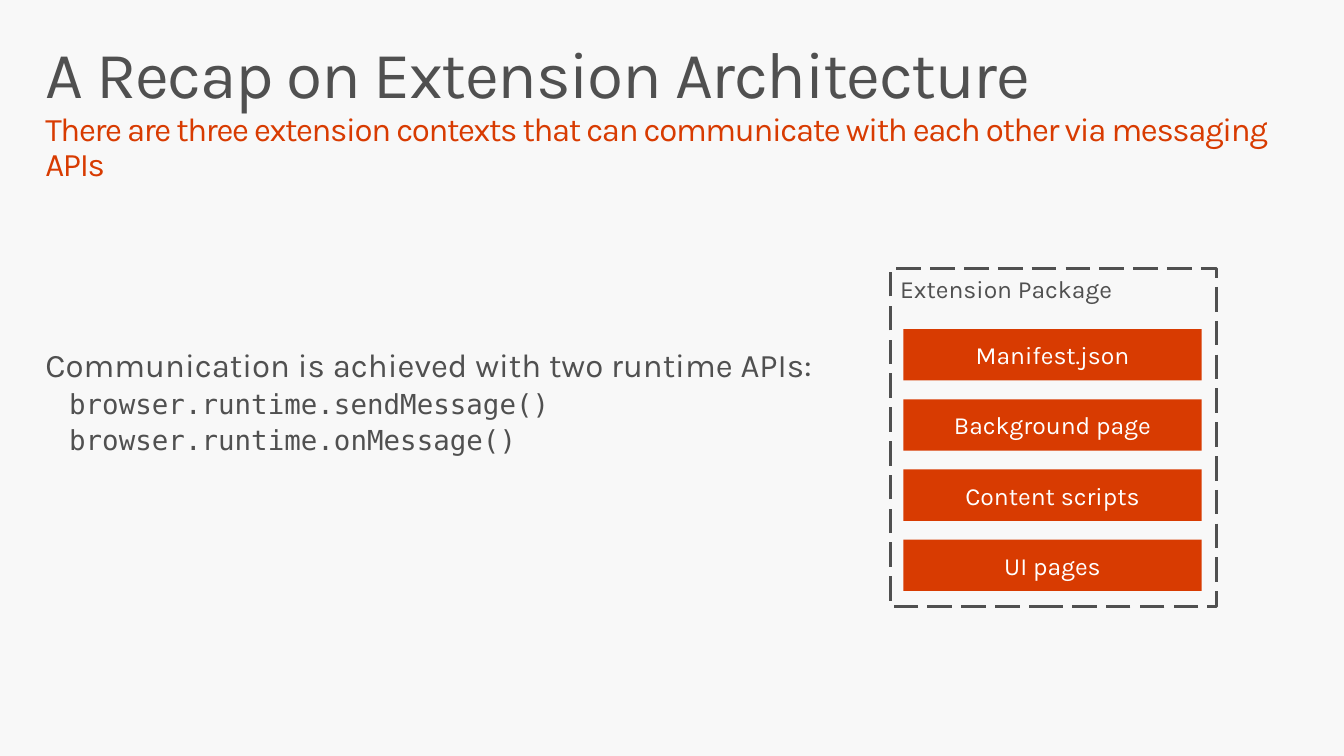
import pptx
import pptx.util
import pptx.dml.color
import pptx.enum.dml
import pptx.enum.shapes
import pptx.enum.text

Inches = pptx.util.Inches
Pt = pptx.util.Pt
ALIGN = pptx.enum.text.PP_ALIGN
ANCHOR = pptx.enum.text.MSO_ANCHOR

GREY, ORANGE, WHITE, PAPER = "505050", "D83B01", "FFFFFF", "F8F8F8"
BODY_FONT, CODE_FONT = "Karla", "DejaVu Sans Mono"


def color(hex_code):
    return pptx.dml.color.RGBColor.from_string(hex_code)


def add_run(paragraph, text, size, hex_code, font=BODY_FONT):
    run = paragraph.add_run()
    run.text = text
    run.font.size = Pt(size)
    run.font.name = font
    run.font.color.rgb = color(hex_code)
    return run


def add_text_frame(slide, left, top, width, height):
    frame = slide.shapes.add_textbox(
        Inches(left), Inches(top), Inches(width), Inches(height)).text_frame
    frame.word_wrap = True
    frame.margin_left = frame.margin_right = Inches(0.16)
    frame.margin_top = frame.margin_bottom = Inches(0.1)
    return frame


def add_box(slide, left, top, width, height, label, text_color, align, anchor):
    box = slide.shapes.add_shape(
        pptx.enum.shapes.MSO_SHAPE.RECTANGLE,
        Inches(left), Inches(top), Inches(width), Inches(height))
    box.shadow.inherit = False
    box.text_frame.word_wrap = True
    box.text_frame.vertical_anchor = anchor
    paragraph = box.text_frame.paragraphs[0]
    paragraph.alignment = align
    add_run(paragraph, label, 18, text_color)
    return box


def add_heading(slide, left, top, width, height):
    heading = add_text_frame(slide, left, top, width, height).paragraphs[0]
    heading.line_spacing = 0.9
    title = add_run(heading, "A Recap on Extension Architecture", 48, GREY)
    heading.add_line_break()
    subtitle = add_run(
        heading,
        "There are three extension contexts that can communicate "
        "with each other via messaging APIs", 24, ORANGE)
    # Tighten the letters by one point
    for run in (title, subtitle):
        run.font._element.set("spc", "-100")


def add_runtime_apis(slide, left, top, width, height):
    frame = add_text_frame(slide, left, top, width, height)
    intro = frame.paragraphs[0]
    intro.line_spacing = 0.9
    add_run(intro, "Communication is achieved with two runtime APIs:", 24, GREY)
    for call in ("browser.runtime.sendMessage()", "browser.runtime.onMessage()"):
        paragraph = frame.add_paragraph()
        paragraph.line_spacing = 0.9
        paragraph.space_before = Pt(4.5)
        properties = paragraph._p.get_or_add_pPr()
        properties.set("marL", str(Inches(0.24)))
        properties.set("indent", "0")
        add_run(paragraph, call, 20, GREY, CODE_FONT)


def add_extension_package(slide, left, top, width, height):
    # Dashed frame
    package = add_box(slide, left, top, width, height, "Extension Package",
                      GREY, ALIGN.LEFT, ANCHOR.TOP)
    package.fill.background()
    package.line.color.rgb = color(GREY)
    package.line.width = Pt(2.25)
    package.line.dash_style = pptx.enum.dml.MSO_LINE.LONG_DASH

    # Evenly stacked parts
    parts = ("Manifest.json", "Background page", "Content scripts", "UI pages")
    for row, name in enumerate(parts):
        part = add_box(slide, left + 0.13, top + 0.61 + row * 0.71,
                       width - 0.28, 0.52, name, WHITE, ALIGN.CENTER, ANCHOR.MIDDLE)
        part.fill.solid()
        part.fill.fore_color.rgb = color(ORANGE)
        part.line.fill.background()


def main():
    deck = pptx.Presentation()
    deck.slide_width, deck.slide_height = Inches(13.6), Inches(7.65)
    slide = deck.slides.add_slide(deck.slide_layouts[6])
    slide.background.fill.solid()
    slide.background.fill.fore_color.rgb = color(PAPER)

    add_heading(slide, 0.3, 0.32, 13.3, 1)
    add_runtime_apis(slide, 0.3, 3.43, 13, 1.31)
    add_extension_package(slide, 9.01, 2.72, 3.3, 3.42)
    deck.save("out.pptx")


if __name__ == "__main__":
    main()
